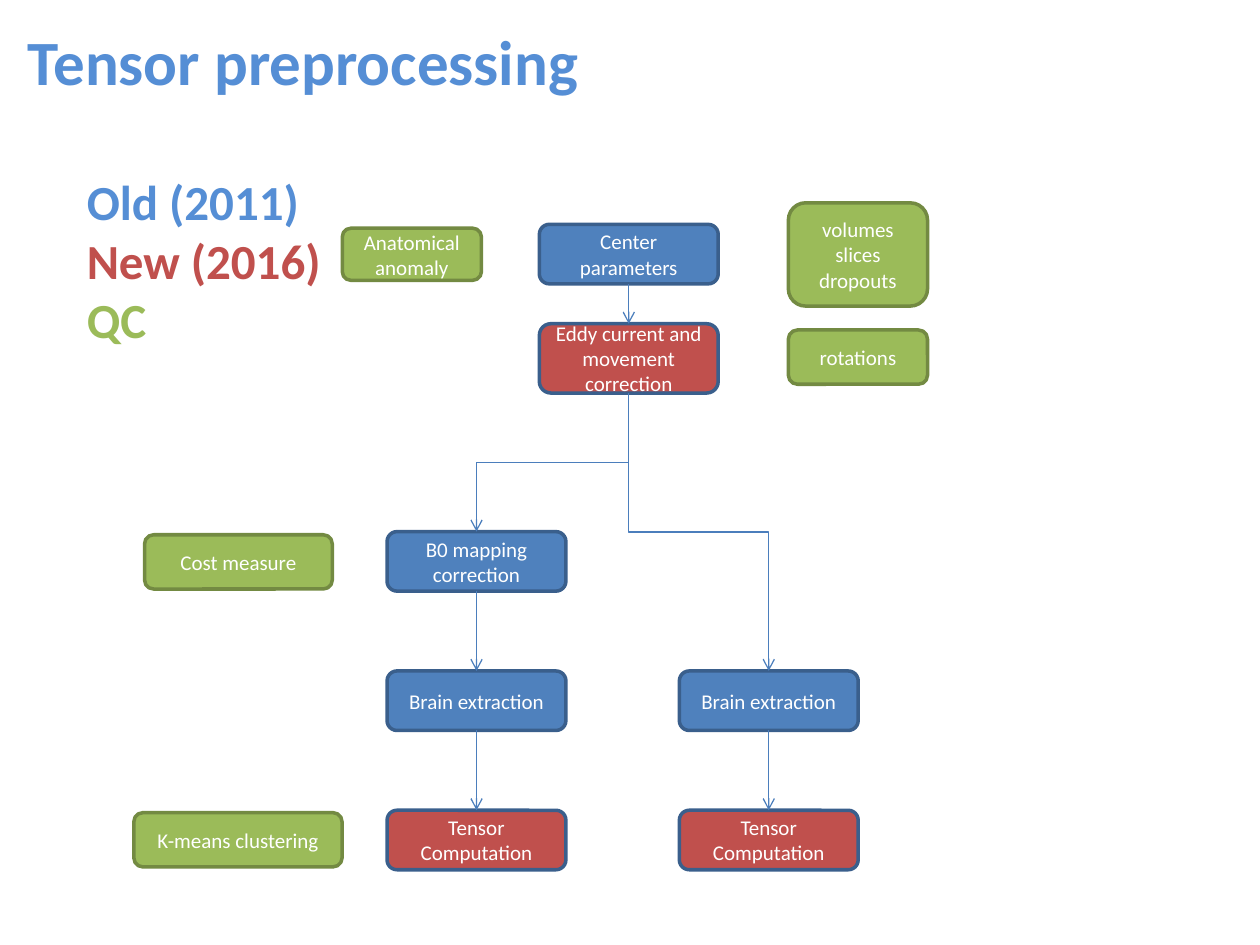
from lxml import etree
from pptx import Presentation
from pptx.dml.color import RGBColor
from pptx.enum.shapes import MSO_CONNECTOR, MSO_SHAPE
from pptx.enum.text import MSO_ANCHOR, MSO_AUTO_SIZE, PP_ALIGN
from pptx.oxml.ns import qn
from pptx.util import Pt

ROUNDED = MSO_SHAPE.ROUNDED_RECTANGLE
STRAIGHT, ELBOW = MSO_CONNECTOR.STRAIGHT, MSO_CONNECTOR.ELBOW
LEFT, CENTER = PP_ALIGN.LEFT, PP_ALIGN.CENTER
TOP, MIDDLE = MSO_ANCHOR.TOP, MSO_ANCHOR.MIDDLE
BOTTOM_SITE, TOP_SITE = 2, 0

FONT = "Calibri"
WHITE, HEADING = "FFFFFF", "558ED5"
OLD, NEW, QC = "4F81BD", "C0504D", "9BBB59"
STEP_LINE, QC_LINE, ARROW = "3A5F8C", "738A42", "4B7EBC"

STEP_WIDTH, STEP_HEIGHT = 102.2, 34
LEFT_X, CENTER_X, RIGHT_X = 221.2, 308.2, 388.2
CENTER_Y, EDDY_Y = 128.2, 185
BRANCH_Y = [303.8 + row * 79.6 for row in range(3)]


def color(value):
    return RGBColor.from_string(value)


def format_paragraph(paragraph, size, font_color, alignment, bold=False):
    paragraph.alignment = alignment
    paragraph.font.name = FONT
    paragraph.font.size = Pt(size)
    paragraph.font.bold = bold
    paragraph.font.color.rgb = color(font_color)


def set_title(slide, text):
    title = slide.shapes.title
    title.left, title.top, title.width, title.height = (
        Pt(8.6), Pt(9.4), Pt(341.3), Pt(51))
    frame = title.text_frame
    frame.text = text
    frame.auto_size = MSO_AUTO_SIZE.NONE
    frame.word_wrap = False
    frame.vertical_anchor = TOP
    format_paragraph(frame.paragraphs[0], 36, HEADING, LEFT, bold=True)


def add_legend(slide, entries):
    box = slide.shapes.add_textbox(Pt(42.5), Pt(94.4), Pt(149.8), Pt(109))
    frame = box.text_frame
    frame.word_wrap = False
    frame.text = "\n".join(text for text, _ in entries)
    for paragraph, (_, font_color) in zip(frame.paragraphs, entries):
        format_paragraph(paragraph, 28, font_color, LEFT, bold=True)


def add_box(slide, text, left, top, width, height, fill, line):
    shape = slide.shapes.add_shape(
        ROUNDED, Pt(left), Pt(top), Pt(width), Pt(height))
    shape.shadow.inherit = False
    shape.fill.solid()
    shape.fill.fore_color.rgb = color(fill)
    shape.line.color.rgb = color(line)
    shape.line.width = Pt(2)
    frame = shape.text_frame
    frame.word_wrap = True
    frame.vertical_anchor = MIDDLE
    frame.text = text
    for paragraph in frame.paragraphs:
        format_paragraph(paragraph, 12, WHITE, CENTER)
    return shape


def add_step(slide, text, left, top, fill, height=STEP_HEIGHT):
    return add_box(slide, text, left, top, STEP_WIDTH, height, fill, STEP_LINE)


def turn_elbow(connector):
    """Turn an elbow so that it leaves and arrives vertically."""
    start_x, start_y = connector.begin_x, connector.begin_y
    end_x, end_y = connector.end_x, connector.end_y
    width, height = end_y - start_y, abs(end_x - start_x)
    connector.left = (start_x + end_x - width) // 2
    connector.top = (start_y + end_y - height) // 2
    connector.width, connector.height = width, height
    goes_right = end_x > start_x
    frame = connector.element.spPr.find(qn("a:xfrm"))
    frame.set("rot", str((270 if goes_right else 90) * 60000))
    frame.set("flipH", "1" if goes_right else "0")


def add_arrow(slide, source, target, kind=STRAIGHT):
    connector = slide.shapes.add_connector(kind, 0, 0, 0, 0)
    connector.begin_connect(source, BOTTOM_SITE)
    connector.end_connect(target, TOP_SITE)
    if kind == ELBOW:
        turn_elbow(connector)
    connector.line.color.rgb = color(ARROW)
    connector.line.width = Pt(0.75)
    properties = connector.element.spPr
    etree.SubElement(properties.find(qn("a:ln")), qn("a:tailEnd"), type="arrow")
    etree.SubElement(properties, qn("a:effectLst"))


def main():
    presentation = Presentation()
    presentation.slide_width, presentation.slide_height = Pt(720), Pt(540)
    slide = presentation.slides.add_slide(presentation.slide_layouts[5])

    # Title and colour legend
    set_title(slide, "Tensor preprocessing")
    add_legend(slide, [("Old (2011)", HEADING), ("New (2016)", NEW), ("QC", QC)])

    # Processing steps
    center = add_step(slide, "Center parameters", CENTER_X, CENTER_Y, OLD)
    eddy = add_step(slide, "Eddy current and movement\ncorrection",
                    CENTER_X, EDDY_Y, NEW, height=39.6)
    mapping = add_step(slide, "B0 mapping correction", LEFT_X, BRANCH_Y[0], OLD)
    extractions, computations = [
        [add_step(slide, text, left, top, fill) for left in (LEFT_X, RIGHT_X)]
        for text, top, fill in (("Brain extraction", BRANCH_Y[1], OLD),
                                ("Tensor Computation", BRANCH_Y[2], NEW))]

    # Flow between the steps
    add_arrow(slide, center, eddy)
    add_arrow(slide, eddy, mapping, ELBOW)
    add_arrow(slide, eddy, extractions[1], ELBOW)
    add_arrow(slide, mapping, extractions[0])
    for extraction, computation in zip(extractions, computations):
        add_arrow(slide, extraction, computation)

    # Quality control checks
    for text, left, top, width, height in (
            ("rotations", 450.5, 188.6, 79.5, 31),
            ("volumes\nslices\ndropouts", 450.5, 115.9, 79.5, 59),
            ("Cost measure", 82.6, 305.6, 107.3, 31),
            ("K-means clustering", 76.5, 464.4, 119, 31),
            ("Anatomical anomaly", 195.6, 130.4, 79.5, 29.8)):
        add_box(slide, text, left, top, width, height, QC, QC_LINE)

    presentation.save("out.pptx")


if __name__ == "__main__":
    main()
